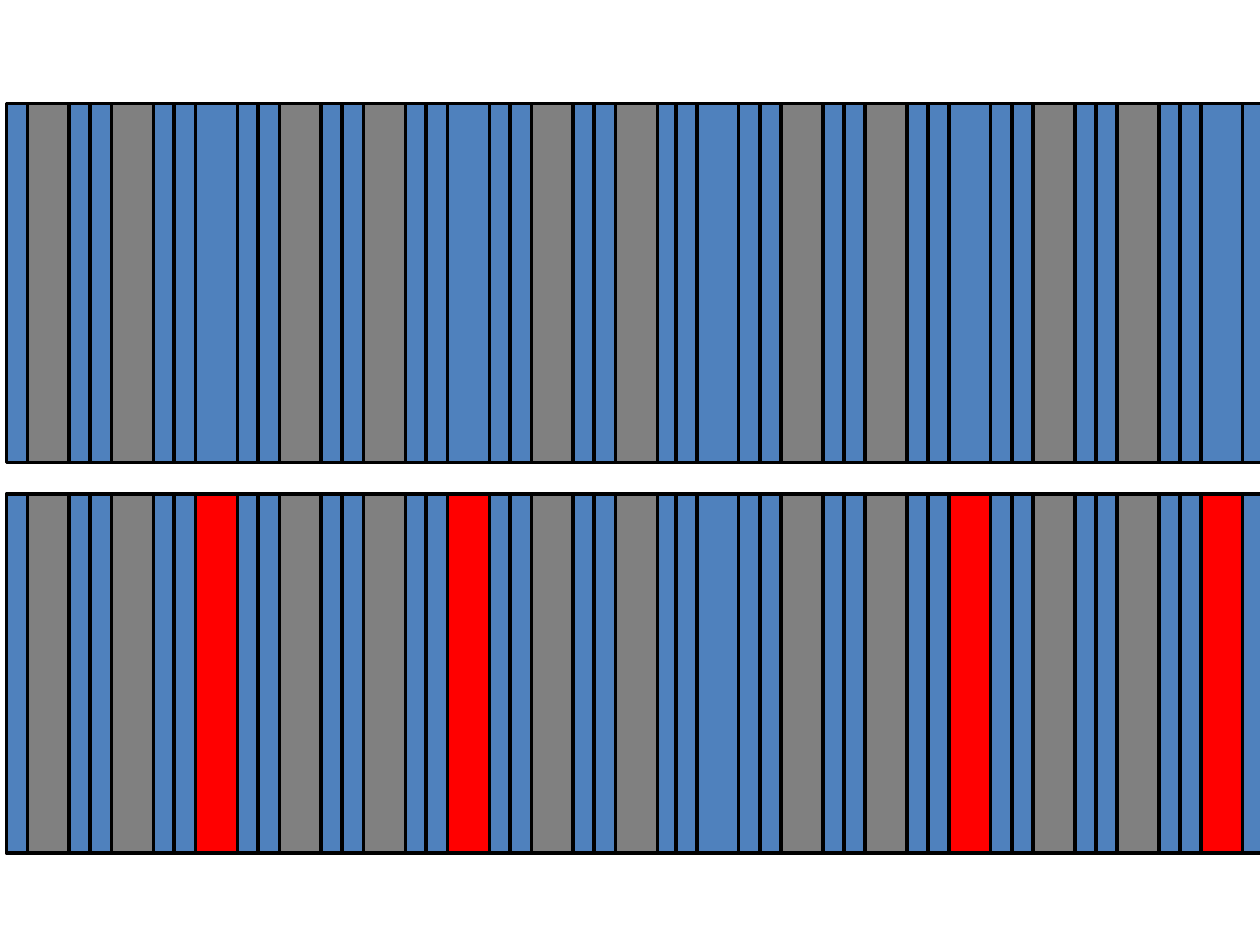
import pptx
import pptx.util
import pptx.dml.color
import pptx.enum.shapes

Inches = pptx.util.Inches
RGBColor = pptx.dml.color.RGBColor

BLUE = RGBColor(0x4F, 0x81, 0xBD)
GREY = RGBColor(0x80, 0x80, 0x80)
RED = RGBColor(0xFF, 0x00, 0x00)
BLACK = RGBColor(0x00, 0x00, 0x00)

CELLS = 15
PITCH = 2 / 3
SHIFT_AT, SHIFT = 8, 0.02  # cells from here on sit slightly to the left


def add_bar(group, left, top, width, height, fill):
    bar = group.shapes.add_shape(
        pptx.enum.shapes.MSO_SHAPE.RECTANGLE,
        Inches(left), Inches(top), Inches(width), Inches(height))
    bar.shadow.inherit = False
    bar.fill.solid()
    bar.fill.fore_color.rgb = fill
    bar.line.color.rgb = BLACK
    bar.line.width = pptx.util.Pt(2)


def add_row(slide, left, top, height, reds=()):
    """Row of blue cells, each with a centred stripe half as wide."""
    group = slide.shapes.add_group_shape()
    for i in range(CELLS):
        x = left + i * PITCH - (SHIFT if i >= SHIFT_AT else 0)
        # Every third stripe is blue or red, the others grey
        stripe = GREY if i % 3 != 2 else RED if i in reds else BLUE
        add_bar(group, x, top, PITCH, height, BLUE)
        add_bar(group, x + PITCH / 4, top, PITCH / 2, height, stripe)


deck = pptx.Presentation()
deck.slide_width, deck.slide_height = Inches(10), Inches(7.5)
slide = deck.slides.add_slide(deck.slide_layouts[6])

# Plain row above, marked row below
add_row(slide, 0.05, 0.82, 2.85)
add_row(slide, 0.05, 3.92, 2.85, reds=(2, 5, 11, 14))

deck.save("out.pptx")
